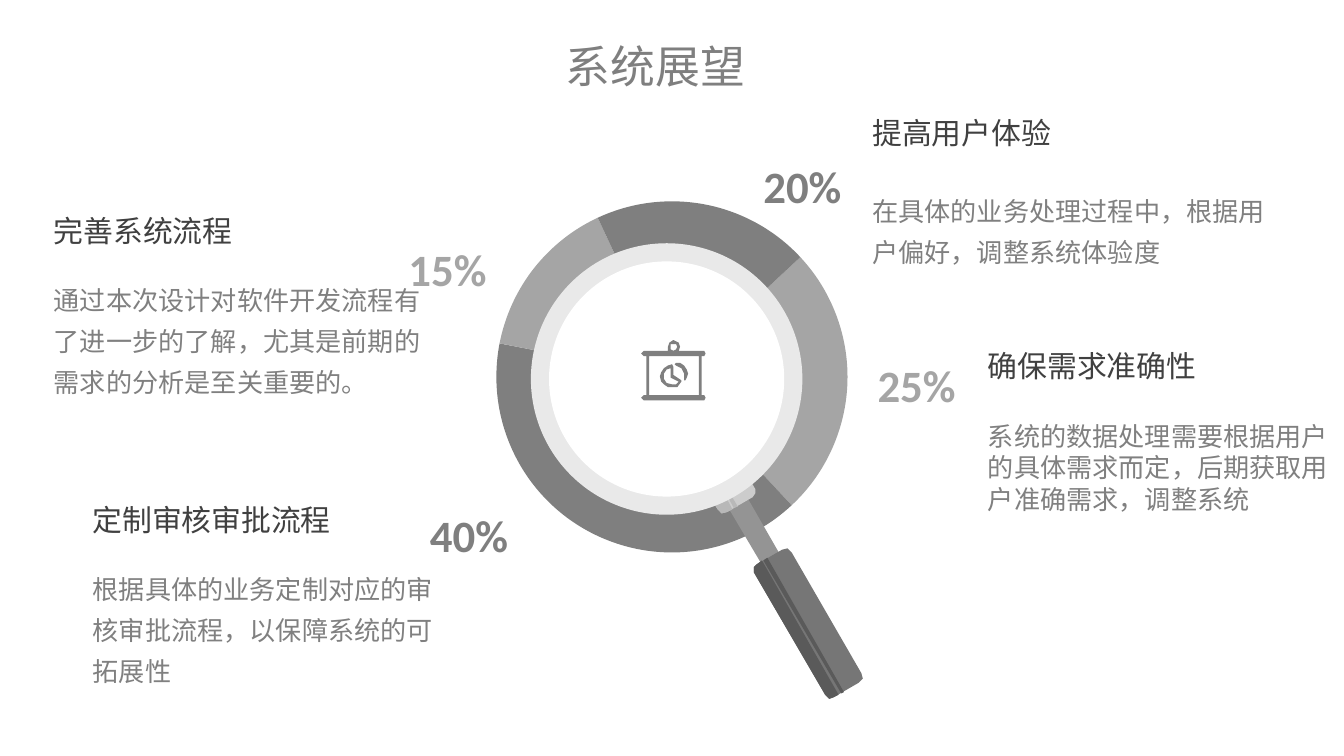
import pptx
import pptx.util
import pptx.chart.data
import pptx.dml.color
import pptx.enum.chart
import pptx.enum.lang
import pptx.enum.shapes
import pptx.enum.text
from lxml import etree

Inches, Pt = pptx.util.Inches, pptx.util.Pt
Align = pptx.enum.text.PP_ALIGN
Fit = pptx.enum.text.MSO_AUTO_SIZE
DARK, LIGHT = "7F7F7F", "A5A5A5"
SANS = "Noto Sans CJK SC"


def paint(fill, color):
    fill.solid()
    fill.fore_color.rgb = pptx.dml.color.RGBColor.from_string(color)


def write(para, text, size, color, face, bold=False):
    """Add one formatted run to a paragraph."""
    run = para.add_run()
    run.text = text
    font = run.font
    font.size, font.name, font.bold = Pt(size), face, bold
    font.language_id = pptx.enum.lang.MSO_LANGUAGE_ID.SIMPLIFIED_CHINESE
    paint(font.fill, color)


deck = pptx.Presentation()
deck.slide_width = Inches(10)
deck.slide_height = deck.slide_width * 9 // 16
slide = deck.slides.add_slide(deck.slide_layouts[5])
shapes = slide.shapes

# Title
title = shapes.title
title.left, title.top = Inches(4.14), Inches(0.25)
title.width, title.height = Inches(1.5), Inches(0.48)
frame = title.text_frame
frame.word_wrap = False
frame.auto_size = Fit.NONE
frame.vertical_anchor = pptx.enum.text.MSO_ANCHOR.TOP
frame.margin_left = frame.margin_right = Inches(0.07)
frame.margin_top = frame.margin_bottom = Inches(0.04)
frame.paragraphs[0].alignment = Align.LEFT
write(frame.paragraphs[0], "系统展望", 24, DARK, SANS)

# Doughnut chart
data = pptx.chart.data.CategoryChartData()
data.categories = ["1", "2", "3", "4"]
data.add_series("Series 1", (25, 40, 15, 20))
chart = shapes.add_chart(
    pptx.enum.chart.XL_CHART_TYPE.DOUGHNUT,
    Inches(3.56), Inches(1.32), Inches(2.88), Inches(2.97), data).chart
chart.has_legend = chart.has_title = False
chart.font.size, chart.font.name = Pt(18), "Calibri"
paint(chart.font.fill, "000000")
plot = chart.plots[0]
plot.vary_by_categories = True
for i, color in enumerate((LIGHT, DARK, LIGHT, DARK)):
    style = plot.series[0].points[i].format
    paint(style.fill, color)
    style.line.fill.background()

root = chart.element
ns = {"c": root.nsmap["c"]}
for tag, val in (("firstSliceAng", 47), ("holeSize", 90)):
    root.find(f".//c:{tag}", ns).set("val", str(val))
area = root.find(".//c:plotArea", ns)
for old in area.findall("c:layout", ns):
    area.remove(old)
layout = etree.fromstring(
    f'<c:layout xmlns:c="{ns["c"]}"><c:manualLayout>'
    '<c:layoutTarget val="inner"/><c:xMode val="edge"/><c:yMode val="edge"/>'
    '<c:x val="0.04"/><c:y val="0.06"/><c:w val="0.92"/><c:h val="0.88"/>'
    '</c:manualLayout></c:layout>')
area.insert(0, layout)

# Outlines of the handle, then of the board icon, in hundredths of an inch
rod = [(584, 419), (571, 427), (539, 373), (553, 365)]
collar = [(562, 364), (562, 367), (560, 370), (541, 381), (537, 382),
          (534, 379), (524, 363), (524, 359), (526, 356),
          (545, 345), (549, 345), (552, 347)]
grip = [(582, 409), (563, 420), (561, 422), (561, 426), (614, 517),
        (617, 520), (620, 519), (639, 508), (642, 505), (641, 501),
        (589, 411), (586, 408)]
shade = [(563, 420), (561, 422), (561, 426), (614, 517), (617, 520),
         (620, 519), (624, 517), (567, 417)]
groove = [(568, 417), (626, 516), (628, 515), (571, 415)]
gleam = [(528, 369), (534, 379), (537, 382), (541, 381),
         (545, 379), (537, 364)]
glint = [(538, 363), (546, 378), (549, 377), (540, 362)]

board = [(524, 294), (522, 294), (522, 265), (524, 265), (525, 263),
         (524, 261), (505, 261), (506, 258), (505, 255), (501, 253),
         (498, 255), (497, 258), (497, 261), (479, 261), (477, 263),
         (479, 265), (481, 265), (481, 294), (479, 294), (477, 296),
         (479, 298), (524, 298), (525, 296)]
ring = [(499, 256), (501, 256), (503, 256), (504, 258), (503, 260),
        (501, 261), (499, 260), (499, 258)]
sheet = [(520, 294), (483, 294), (483, 265), (520, 265)]
arc = [(503, 272), (507, 274), (509, 278), (509, 281), (509, 283),
       (510, 283), (511, 281), (512, 278), (511, 275), (509, 272),
       (506, 270), (503, 270), (502, 271)]
pie = [(500, 288), (504, 288), (507, 284), (507, 283), (501, 279),
       (501, 273), (500, 271), (497, 272), (494, 274), (492, 277),
       (491, 280), (492, 284), (494, 286), (497, 288)]
slot = [(496, 275), (499, 274), (499, 281), (505, 284), (503, 286),
        (500, 286), (496, 285), (494, 282), (494, 278)]

glass = shapes.add_group_shape()
for home, color, loops in (
        (glass, "949494", [rod]), (glass, "CCCCCC", [collar]),
        (glass, "767676", [grip]), (glass, "5A5A5A", [shade]),
        (glass, "5A5A5A", [groove]), (glass, "B8B8B8", [gleam]),
        (glass, "B8B8B8", [glint]),
        (slide, DARK, [board, ring, sheet, arc, pie, slot])):
    pen = home.shapes.build_freeform(*loops[0][0], scale=Inches(0.01))
    pen.add_line_segments(loops[0][1:])
    for loop in loops[1:]:
        pen.move_to(*loop[0])
        pen.add_line_segments(loop[1:])
    part = pen.convert_to_shape()
    part.shadow.inherit = False
    paint(part.fill, color)
    part.line.fill.background()

# Lens
for size, color in ((2.02, "E9E9E9"), (1.75, "FFFFFF")):
    lens = glass.shapes.add_shape(
        pptx.enum.shapes.MSO_SHAPE.OVAL, Inches(4.96 - size / 2),
        Inches(2.82 - size / 2), Inches(size), Inches(size))
    lens.shadow.inherit = False
    paint(lens.fill, color)
    lens.line.fill.background()

# Callouts: box, gap under the heading, line spacing, texts, then the share
notes = [
    ((0.4, 1.58, 2.75, 1.39), 14.6, 1.3, "完善系统流程",
     "通过本次设计对软件开发流程有了进一步的了解，尤其是前期的需求的分析是至关重要的。",
     "15%", (3, 1.72), LIGHT),
    ((0.69, 3.73, 2.56, 1.39), 14.6, 1.3, "定制审核审批流程",
     "根据具体的业务定制对应的审核审批流程，以保障系统的可拓展性",
     "40%", (3.16, 3.7), DARK),
    ((6.49, 0.85, 3.05, 1.15), 19.5, 1.3, "提高用户体验",
     "在具体的业务处理过程中，根据用户偏好，调整系统体验度",
     "20%", (5.64, 1.1), DARK),
    ((7.35, 2.59, 2.65, 1.25), 19.5, 1, "确保需求准确性",
     "系统的数据处理需要根据用户的具体需求而定，后期获取用户准确需求，调整系统",
     "25%", (6.49, 2.58), LIGHT),
]
for box, gap, lead, head, body, share, spot, color in notes:
    frames = []
    for place in (box, (*spot, 0.66, 0.48)):
        frame = shapes.add_textbox(*map(Inches, place)).text_frame
        frame.word_wrap = True
        frame.auto_size = Fit.SHAPE_TO_FIT_TEXT
        frame.margin_left = frame.margin_right = 0
        frame.margin_top = frame.margin_bottom = 0
        frames.append(frame)
    para = frames[0].paragraphs[0]
    para.space_after = Pt(gap)
    write(para, head, 16, "404040", "Calibri")
    para = frames[0].add_paragraph()
    para.line_spacing = lead
    write(para, body, 14, "808080", SANS)
    para = frames[1].paragraphs[0]
    para.alignment = Align.CENTER
    para.line_spacing, para.space_before = 1.2, Pt(3)
    write(para, share, 24, color, "Calibri", True)

deck.save("out.pptx")
